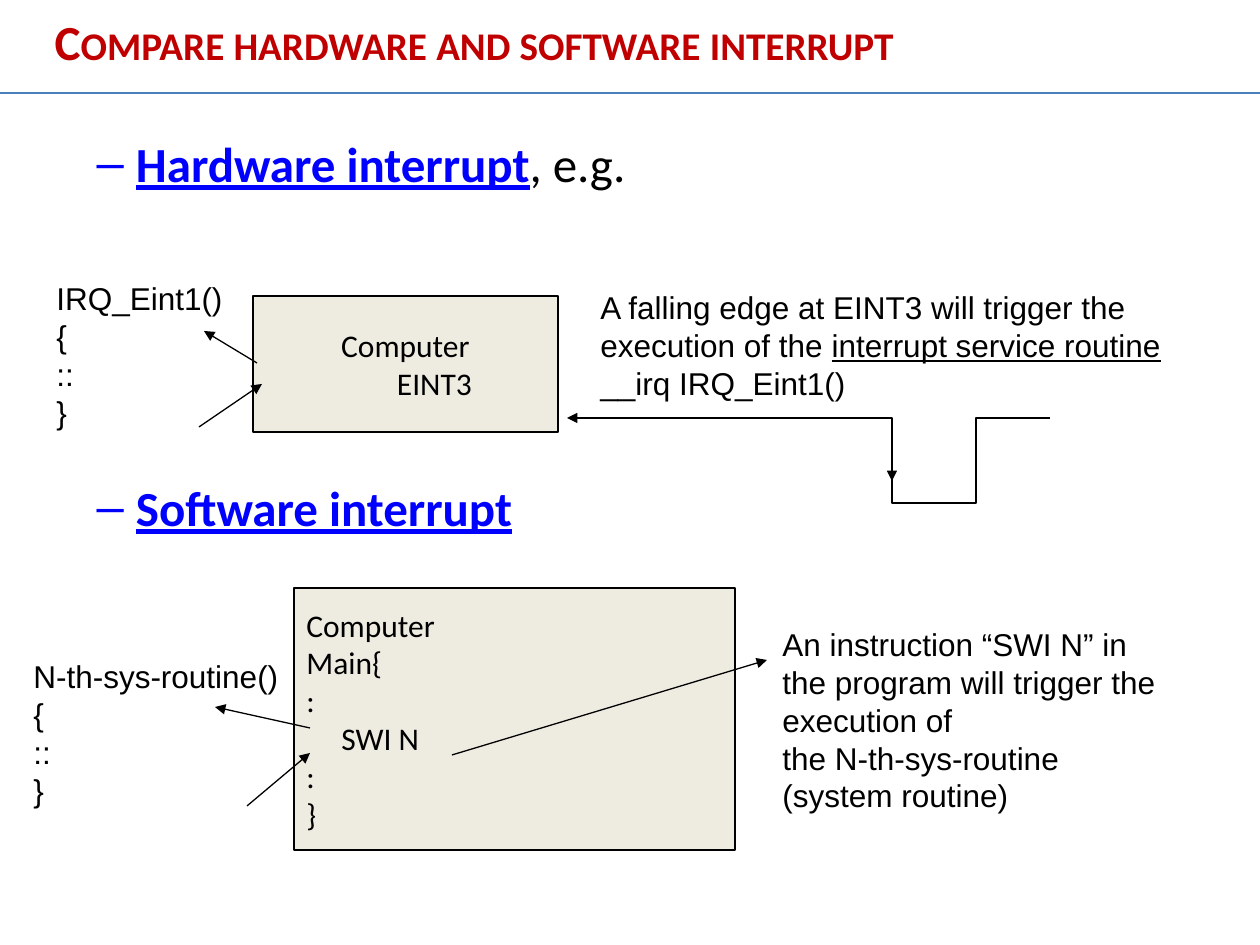
from dataclasses import dataclass

from lxml.etree import SubElement
from pptx import Presentation
from pptx.dml.color import RGBColor
from pptx.enum.shapes import MSO_CONNECTOR, MSO_SHAPE
from pptx.enum.text import MSO_ANCHOR, MSO_AUTO_SIZE, PP_ALIGN
from pptx.oxml.ns import qn
from pptx.util import Emu, Pt

SCALE = 914400 / 126  # EMU in one px
COLORS = {
    "title": "C00000",
    "keyword": "0000FF",
    "ink": "000000",
    "computer": "EEECE1",
    "rule": "4B7EBC",
}


def px(length):
    return Emu(round(length * SCALE))


def color(name):
    return RGBColor.from_string(COLORS[name])


@dataclass
class Box:
    left: int
    top: int
    width: int
    height: int

    def inner(self, left, top, width, height):
        return Box(self.left + left, self.top + top, width, height)

    def point(self, x, y):
        return self.left + x, self.top + y

    def emu(self):
        return [px(n) for n in (self.left, self.top, self.width, self.height)]


def add_span(para, text, size=18, font="Calibri", ink="ink", bold=False, underline=False):
    span = para.add_run()
    span.text = text
    span.font.size = Pt(size)
    span.font.name = font
    span.font.color.rgb = color(ink)
    span.font.bold = bold
    span.font.underline = underline
    return span


def next_para(frame, index):
    return frame.paragraphs[0] if index == 0 else frame.add_paragraph()


def style_line(line, ink="ink"):
    line.color.rgb = color(ink)
    line.width = Pt(0.75)


def add_line(page, start, end, ink="ink", arrow=True):
    ends = [px(n) for n in (*start, *end)]
    connector = page.shapes.add_connector(MSO_CONNECTOR.STRAIGHT, *ends)
    style_line(connector.line, ink)
    if arrow:
        SubElement(connector.line._get_or_add_ln(), qn("a:tailEnd"), type="triangle")
    SubElement(connector._element.spPr, qn("a:effectLst"))


def add_label(page, box, lines):
    """Each line is a list of (text, underlined) pairs or a plain string."""
    frame = page.shapes.add_textbox(*box.emu()).text_frame
    frame.word_wrap = False
    for index, line in enumerate(lines):
        para = next_para(frame, index)
        para.line_spacing = Pt(21.6)
        pairs = [(line, False)] if isinstance(line, str) else line
        for text, underline in pairs:
            add_span(para, text, font="Arial", underline=underline)


def add_computer(page, box, lines, align):
    """Each line is a (text, left margin) pair."""
    shape = page.shapes.add_shape(MSO_SHAPE.RECTANGLE, *box.emu())
    shape.shadow.inherit = False
    shape.fill.solid()
    shape.fill.fore_color.rgb = color("computer")
    style_line(shape.line)
    frame = shape.text_frame
    frame.word_wrap = True
    frame.vertical_anchor = MSO_ANCHOR.MIDDLE
    for index, (text, margin) in enumerate(lines):
        para = next_para(frame, index)
        para.alignment = align
        if margin:
            para._p.get_or_add_pPr().set("marL", str(px(margin)))
        add_span(para, text)


def place(shape, box):
    shape.left, shape.top, shape.width, shape.height = box.emu()
    shape.text_frame.word_wrap = True
    shape.text_frame.auto_size = MSO_AUTO_SIZE.NONE
    return shape.text_frame


def fill_title(page, box):
    frame = place(page.shapes.title, box)
    frame.vertical_anchor = MSO_ANCHOR.MIDDLE
    para = frame.paragraphs[0]
    para.alignment = PP_ALIGN.LEFT
    span = add_span(para, "Compare hardware and software interrupt",
                    size=28, ink="title", bold=True)
    span.font._element.set("cap", "small")


def fill_body(page, box):
    frame = place(page.placeholders[1], box)
    topics = [("Hardware interrupt", ", e.g.", 5.6), ("Software interrupt", "", 163)]
    for index, (keyword, rest, gap) in enumerate(topics):
        para = next_para(frame, index)
        para.level = 1
        para.space_before = Pt(gap)
        add_span(para, keyword, size=28, ink="keyword", bold=True, underline=True)
        if rest:
            add_span(para, rest, size=28)


def draw_hardware(page, box):
    add_computer(page, box.inner(209, 23, 305, 136),
                 [("Computer", 0), ("EINT3", 58)], PP_ALIGN.CENTER)

    # Signal with its falling edge
    high, low = 145, 230
    start, fall, rise, end = 775, 848, 932, 1006
    add_line(page, box.point(start, high), box.point(523, high))
    builder = page.shapes.build_freeform(*box.point(start, high), scale=SCALE)
    corners = [(fall, high), (fall, low), (rise, low), (rise, high), (end, high)]
    builder.add_line_segments([box.point(*corner) for corner in corners], close=False)
    signal = builder.convert_to_shape()
    signal.shadow.inherit = False
    signal.fill.background()
    style_line(signal.line)
    add_line(page, box.point(fall, 167), box.point(fall, 208))

    # Service routine and explanation
    add_label(page, box.inner(0, 0, 192, 202), ["IRQ_Eint1()", "{", "::", "}"])
    add_label(page, box.inner(544, 9, 586, 164), [
        "A falling edge at EINT3 will trigger the",
        [("execution of the ", False), ("interrupt service routine", True)],
        "__irq IRQ_Eint1()",
    ])
    add_line(page, box.point(213, 90), box.point(160, 58))
    add_line(page, box.point(155, 154), box.point(218, 111))


def draw_software(page, box):
    program = [("Computer", 0), ("Main{", 0), (":", 0), ("SWI N", 35), (":", 0), ("}", 0)]
    add_computer(page, box.inner(273, 0, 441, 262), program, PP_ALIGN.LEFT)
    add_line(page, box.point(431, 167), box.point(746, 72))

    # System routine and explanation
    add_label(page, box.inner(0, 63, 271, 202), ["N-th-sys-routine()", "{", "::", "}"])
    add_label(page, box.inner(749, 31, 407, 239), [
        "An instruction “SWI N” in",
        "the program will trigger the",
        "execution of",
        "the N-th-sys-routine",
        "(system routine)",
    ])
    add_line(page, box.point(289, 140), box.point(194, 119))
    add_line(page, box.point(226, 218), box.point(289, 165))


def main():
    deck = Presentation()
    deck.slide_width, deck.slide_height = px(1260), px(945)
    page = deck.slides.add_slide(deck.slide_layouts[1])
    fill_title(page, Box(42, 4, 1092, 73))
    add_line(page, (0, 93), (1260, 93), ink="rule", arrow=False)
    fill_body(page, Box(21, 127, 1194, 774))
    draw_hardware(page, Box(44, 273, 1130, 235))
    draw_software(page, Box(21, 588, 1156, 270))
    deck.save("out.pptx")


if __name__ == "__main__":
    main()
